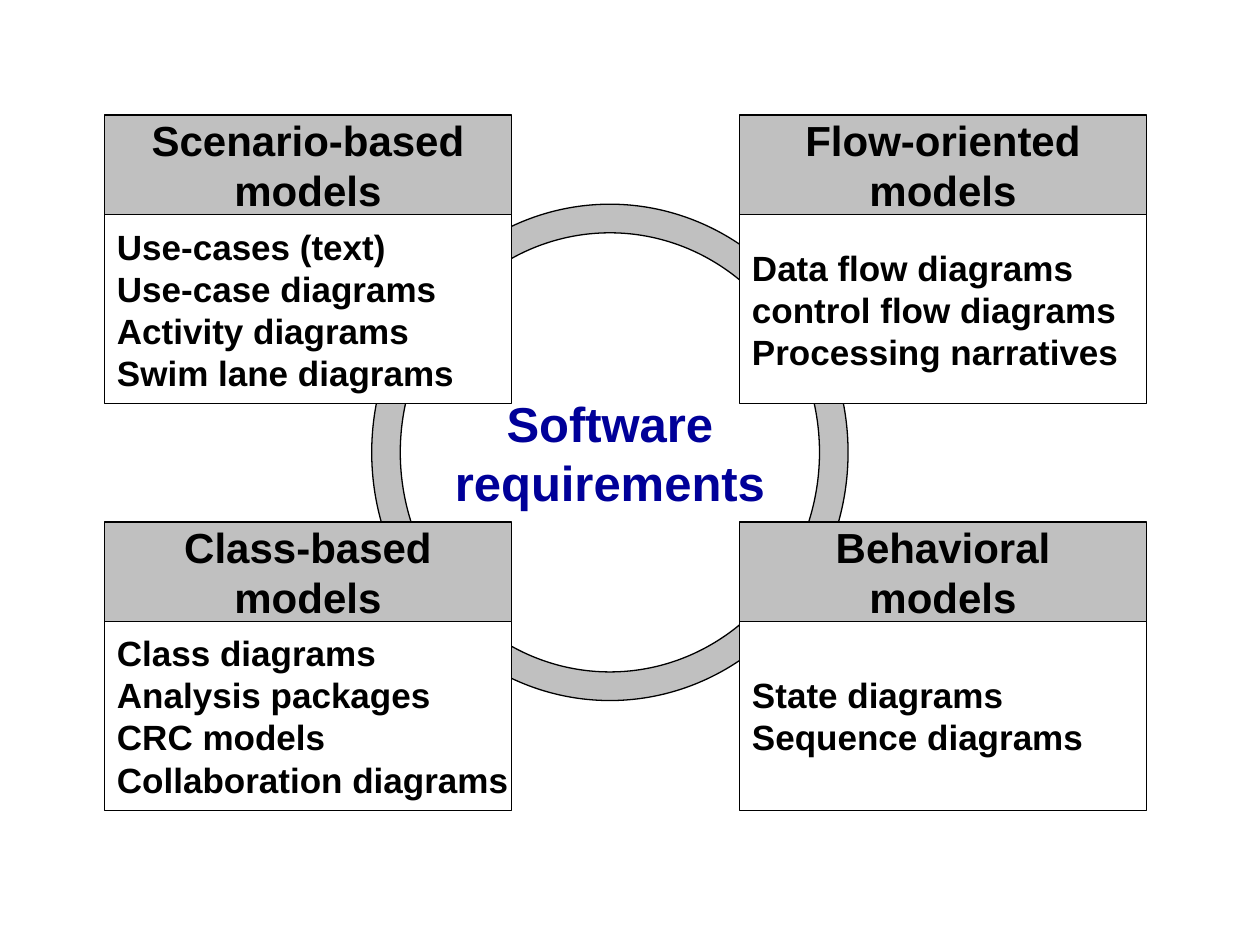
import dataclasses

import pptx
import pptx.dml.color
import pptx.enum.shapes
import pptx.enum.text
import pptx.util

Pt = pptx.util.Pt
RGBColor = pptx.dml.color.RGBColor
MSO_SHAPE = pptx.enum.shapes.MSO_SHAPE
MSO_ANCHOR = pptx.enum.text.MSO_ANCHOR
PP_ALIGN = pptx.enum.text.PP_ALIGN


@dataclasses.dataclass(frozen=True)
class Theme:
    font: str = "Arial"
    ink: str = "000000"
    accent: str = "000099"
    band: str = "C0C0C0"
    paper: str = "FFFFFF"
    hub_size: int = 28
    heading_size: int = 24
    item_size: int = 20
    outline: float = 0.75


THEME = Theme()
HEADING_HEIGHT = 56.9
CARD_WIDTH, CARD_HEIGHT = 232.5, 164.9
GRID_LEFT, GRID_TOP = 59.75, 65.75
COLUMN_STEP, ROW_STEP = 362.9, 232.5
HUB_BOX = (212.4, 116.7, 272.2, 283.6)
RING_THICKNESS = 0.06

MODELS = [
    [
        (["Scenario-based", "models"],
         ["Use-cases (text)", "Use-case diagrams", "Activity diagrams", "Swim lane diagrams"]),
        (["Flow-oriented", "models"],
         ["Data flow diagrams", "control flow diagrams", "Processing narratives"]),
    ],
    [
        (["Class-based", "models"],
         ["Class diagrams", "Analysis packages", "CRC models", "Collaboration diagrams"]),
        (["Behavioral", "models"],
         ["State diagrams", "Sequence diagrams"]),
    ],
]


def add_panel(slide, preset, box, fill, lines, size, color, alignment):
    panel = slide.shapes.add_shape(preset, *map(Pt, box))
    panel.shadow.inherit = False
    panel.fill.solid()
    panel.fill.fore_color.rgb = RGBColor.from_string(fill)
    panel.line.color.rgb = RGBColor.from_string(THEME.ink)
    panel.line.width = Pt(THEME.outline)
    panel.text_frame.text = "\n".join(lines)
    frame_format = {"word_wrap": False, "vertical_anchor": MSO_ANCHOR.MIDDLE}
    for attribute, value in frame_format.items():
        setattr(panel.text_frame, attribute, value)
    font_format = {"name": THEME.font, "size": Pt(size), "bold": True}
    for paragraph in panel.text_frame.paragraphs:
        paragraph.alignment = alignment
        for run in paragraph.runs:
            for attribute, value in font_format.items():
                setattr(run.font, attribute, value)
            run.font.color.rgb = RGBColor.from_string(color)
    return panel


def add_hub(slide, box):
    ring = add_panel(slide, MSO_SHAPE.DONUT, box, THEME.band, ["Software", "requirements"],
                     THEME.hub_size, THEME.accent, PP_ALIGN.CENTER)
    ring.adjustments[0] = RING_THICKNESS


def add_model_card(slide, box, heading, items):
    left, top, width, height = box
    add_panel(slide, MSO_SHAPE.RECTANGLE, (left, top, width, HEADING_HEIGHT),
              THEME.band, heading, THEME.heading_size, THEME.ink, PP_ALIGN.CENTER)
    add_panel(slide, MSO_SHAPE.RECTANGLE,
              (left, top + HEADING_HEIGHT, width, height - HEADING_HEIGHT),
              THEME.paper, items, THEME.item_size, THEME.ink, PP_ALIGN.LEFT)


def main():
    deck = pptx.Presentation()
    deck.slide_width, deck.slide_height = Pt(720), Pt(540)
    slide = deck.slides.add_slide(deck.slide_layouts[6])
    add_hub(slide, HUB_BOX)
    for row, cards in enumerate(MODELS):
        for column, (heading, items) in enumerate(cards):
            box = (GRID_LEFT + column * COLUMN_STEP, GRID_TOP + row * ROW_STEP,
                   CARD_WIDTH, CARD_HEIGHT)
            add_model_card(slide, box, heading, items)
    deck.save("out.pptx")


if __name__ == "__main__":
    main()
